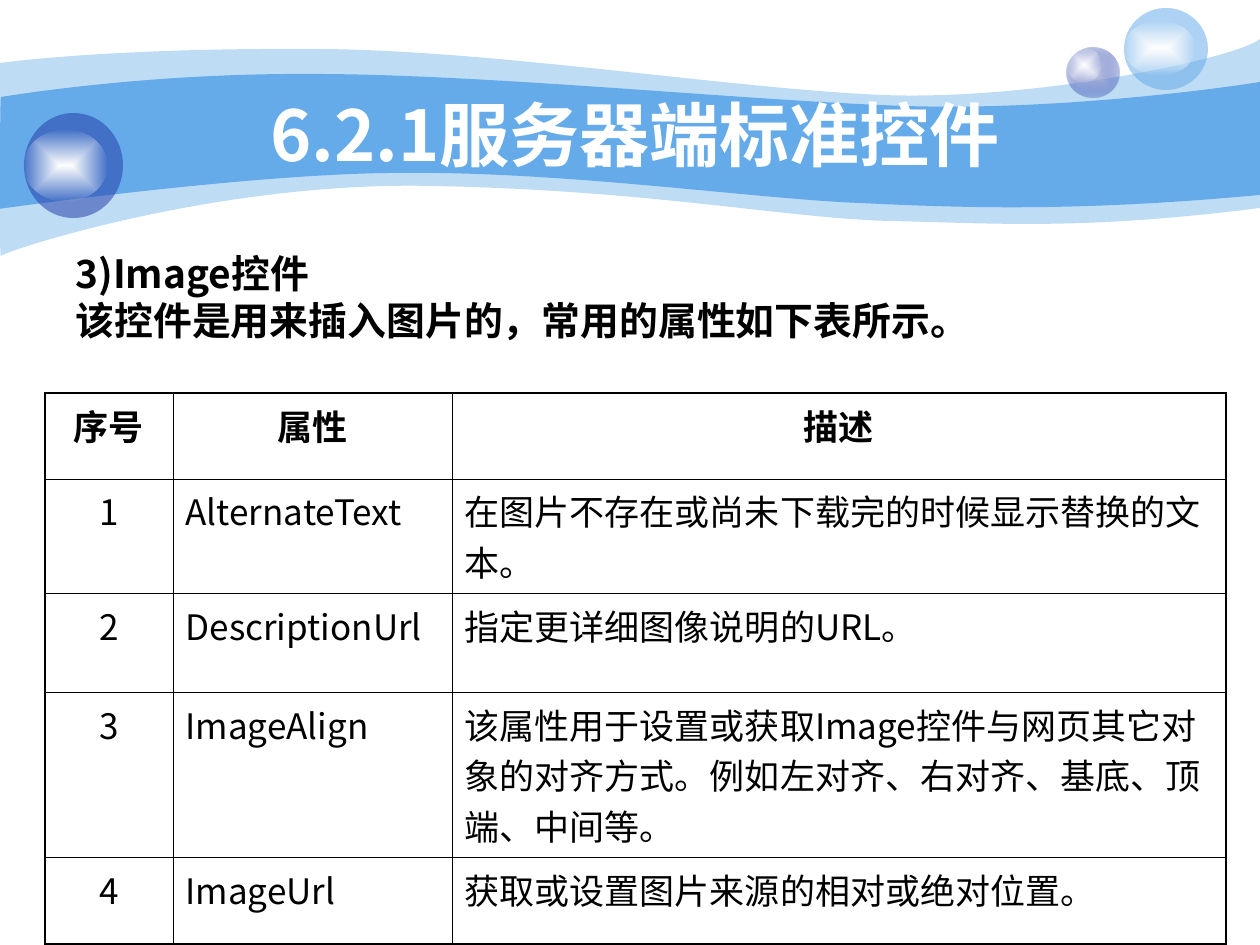
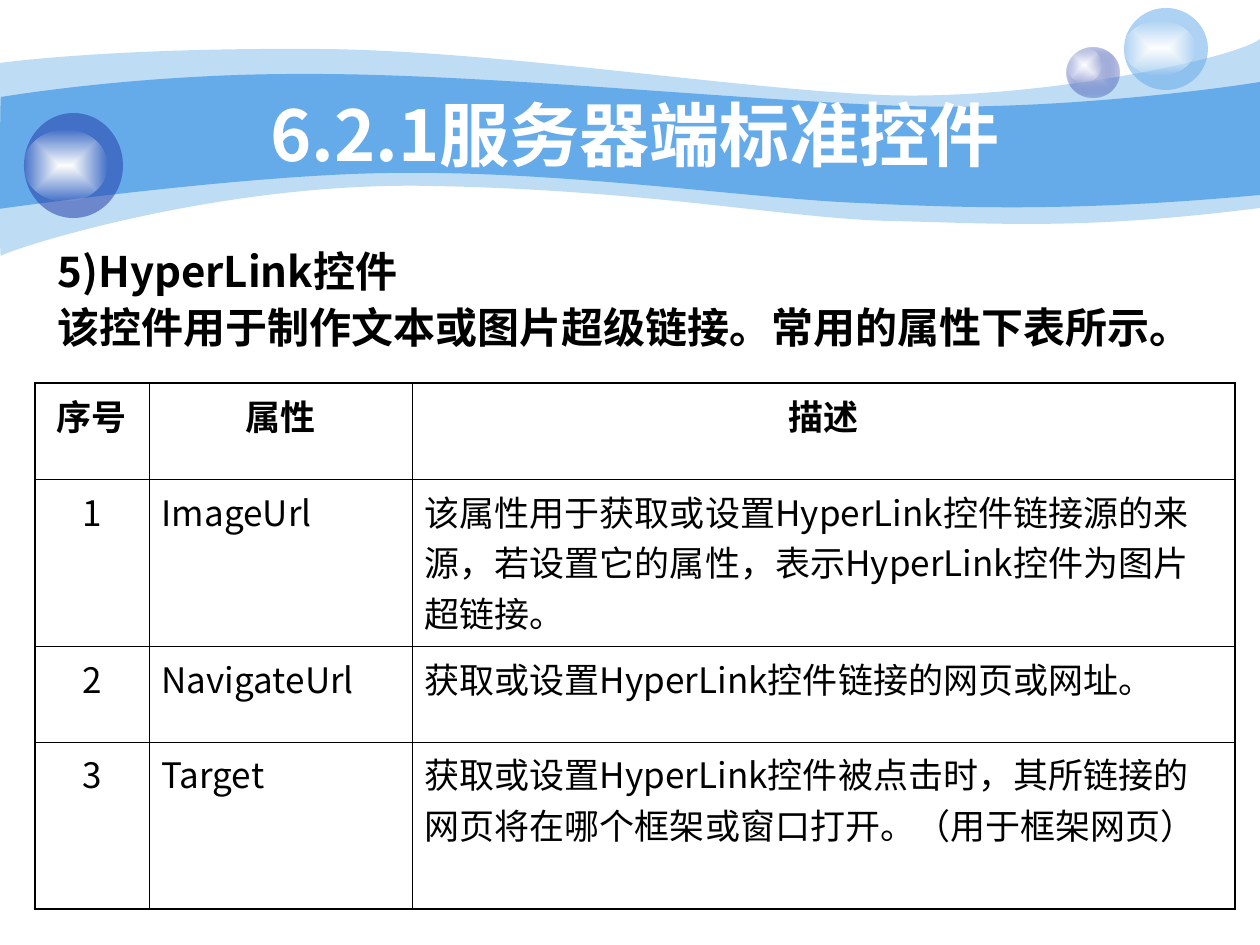
from lxml.etree import SubElement as sub
from pptx import Presentation
from pptx.dml.color import RGBColor as RGB
from pptx.enum.shapes import MSO_SHAPE as SHAPE
from pptx.enum.text import MSO_ANCHOR as ANCHOR, MSO_AUTO_SIZE as FIT, PP_ALIGN as ALIGN
from pptx.oxml.ns import qn
from pptx.util import Pt

PX = 914400 / 126
FONT = "Noto Sans CJK SC"
BLACK = RGB(0, 0, 0)
WHITE = RGB(255, 255, 255)
PEARL = RGB(0xFE, 0xFE, 0xFE)
SKY = RGB(0x65, 0xAA, 0xE9)
NAVY = RGB(0x23, 0x3D, 0xA9)
LILAC = RGB(0xC6, 0xCC, 0xE8)
THIN, THICK = 0.45, 1.08

TITLE = "6.2.1服务器端标准控件"
HEAD = ("序号", "属性", "描述")

# Each wave is a start point, then line ends (x, y) and cubic curves (two handles and an end).
PALE_WAVE = [
    (0, 63),
    (30, 59, 135, 48, 311, 49), (486, 49, 725, 88, 881, 95), (1033, 101, 1235, 59, 1260, 39),
    (1260, 208),
    (1079, 231, 992, 223, 888, 221), (784, 218, 649, 190, 432, 186),
    (217, 181, 5, 251, 1, 256), (-1, 262, 0, 95, 0, 63),
]
BLUE_WAVE = [
    (1, 97),
    (3, 97, 139, 73, 312, 74), (486, 74, 750, 101, 905, 106), (1060, 111, 1230, 87, 1260, 82),
    (1260, 195),
    (1075, 212, 964, 208, 859, 203), (755, 199, 563, 171, 399, 173),
    (256, 173, -3, 209, -1, 209), (0, 209, 0, 97, 1, 97),
]

IMAGE_ROWS = [
    ("AlternateText", "在图片不存在或尚未下载完的时候显示替换的文本。"),
    ("DescriptionUrl", "指定更详细图像说明的URL。"),
    ("ImageAlign", "该属性用于设置或获取Image控件与网页其它对象的对齐方式。"
                   "例如左对齐、右对齐、基底、顶端、中间等。"),
    ("ImageUrl", "获取或设置图片来源的相对或绝对位置。"),
]
LINK_ROWS = [
    ("ImageUrl", "该属性用于获取或设置HyperLink控件链接源的来源，"
                 "若设置它的属性，表示HyperLink控件为图片超链接。"),
    ("NavigateUrl", "获取或设置HyperLink控件链接的网页或网址。"),
    ("Target", "获取或设置HyperLink控件被点击时，"
               "其所链接的网页将在哪个框架或窗口打开。（用于框架网页）"),
]


def emu(*lengths):
    return [round(n * PX) for n in lengths]


def place(shape, box):
    shape.left, shape.top, shape.width, shape.height = emu(*box)


def style(para, size, color=BLACK, bold=False):
    font = para.font
    font.name, font.size, font.bold = FONT, Pt(size), bold
    font.color.rgb = color
    props = para._p.pPr.find(qn("a:defRPr"))
    sub(props, qn("a:ea"), typeface=FONT)


def fade(node, alpha):
    """Make the last colour under node show at alpha percent."""
    color = list(node.iter(qn("a:srgbClr")))[-1]
    sub(color, qn("a:alpha"), val=str(alpha * 1000))


def paint(shape, color, alpha=100):
    shape.shadow.inherit = False
    shape.line.fill.background()
    shape.fill.solid()
    shape.fill.fore_color.rgb = color
    if alpha < 100:
        fade(shape.element.spPr, alpha)


def glow(shape, core, rim, alpha):
    """Fill from the core colour in the centre to a see-through rim."""
    shape.shadow.inherit = False
    shape.line.fill.background()
    shape.fill.gradient()
    for spot, (stop, color) in enumerate(zip(shape.fill.gradient_stops, (core, rim))):
        stop.color.rgb = color
        stop.position = spot
    grad = shape.element.spPr.find(qn("a:gradFill"))
    fade(grad, alpha)
    grad.remove(grad.find(qn("a:lin")))
    route = sub(grad, qn("a:path"), path="rect")
    sub(route, qn("a:fillToRect"), l="50000", t="50000", r="50000", b="50000")


def add_wave(slide, wave, alpha=100):
    """Lay out all points as lines, then join each three of a curve into one cubic."""
    start, *parts = wave
    dots = [emu(*part[i:i + 2]) for part in parts for i in range(0, len(part), 2)]
    pen = slide.shapes.build_freeform(*emu(*start))
    pen.add_line_segments(dots)
    shape = pen.convert_to_shape()
    lines = iter(list(shape.element.iter(qn("a:lnTo"))))
    for part in parts:
        line = next(lines)
        if len(part) == 6:
            line.tag = qn("a:cubicBezTo")
            for extra in (next(lines), next(lines)):
                line.append(extra[0])
                extra.getparent().remove(extra)
    paint(shape, SKY, alpha)
    return shape


def add_ball(slide, ball, shine, fill):
    """A round ball with a white shine on it."""
    group = slide.shapes.add_group_shape()
    disc, spot = [group.shapes.add_shape(SHAPE.OVAL, *emu(*box)) for box in (ball, shine)]
    fill(disc)
    glow(spot, WHITE, PEARL, 0)
    return group


def add_backdrop(slide):
    """Draw the waves and balls, then move them to the back of the layout."""
    parts = [
        add_wave(slide, PALE_WAVE, 41),
        add_wave(slide, BLUE_WAVE),
        add_ball(slide, (1067, 48, 53, 50), (1067, 48, 35, 34),
                 lambda disc: glow(disc, LILAC, NAVY, 31)),
        add_ball(slide, (1124, 8, 84, 82), (1124, 21, 71, 54),
                 lambda disc: paint(disc, SKY, 53)),
        add_ball(slide, (24, 113, 99, 105), (24, 130, 83, 71),
                 lambda disc: paint(disc, NAVY, 53)),
    ]
    tree = slide.slide_layout.shapes.element
    for i, part in enumerate(parts):
        tree.insert(2 + i, part.element)


def set_title(slide):
    title = slide.shapes.title
    place(title, (126, 95, 1018, 78))
    frame = title.text_frame
    frame.text = TITLE
    frame.auto_size = FIT.NONE
    frame.vertical_anchor = ANCHOR.MIDDLE
    para = frame.paragraphs[0]
    para.alignment = ALIGN.CENTER
    style(para, 40, WHITE, True)


def set_body(slide, box, lines, size, pitch):
    body = slide.placeholders[1]
    place(body, box)
    frame = body.text_frame
    frame.text = "\n".join(lines)
    frame.auto_size = FIT.NONE
    indent = round(48 * PX)
    for i, para in enumerate(frame.paragraphs):
        props = para._p.get_or_add_pPr()
        props.set("marL", str(indent))
        props.set("indent", str(-indent))
        sub(props, qn("a:buNone"))
        para.line_spacing = pitch
        para.space_before = Pt(6 if i else 0)
        style(para, size, bold=True)


def set_edges(cell, widths):
    """Draw the cell's borders; widths are left, right, top, bottom in points."""
    props = cell._tc.get_or_add_tcPr()
    for i, (side, width) in enumerate(zip("LRTB", widths)):
        line = props.makeelement(qn(f"a:ln{side}"), {"w": str(Pt(width))})
        fill = sub(line, qn("a:solidFill"))
        sub(fill, qn("a:srgbClr"), val=str(BLACK))
        props.insert(i, line)


def add_grid(slide, spot, cols, rows, items):
    """A numbered table of properties under a bold heading row."""
    data = [HEAD] + [(str(n), *item) for n, item in enumerate(items, 1)]
    box = emu(*spot, sum(cols), sum(rows))
    table = slide.shapes.add_table(len(rows), len(cols), *box).table
    table.horz_banding = False
    for col, width in zip(table.columns, emu(*cols)):
        col.width = width
    for row, height in zip(table.rows, emu(*rows)):
        row.height = height
    for r, texts in enumerate(data):
        for c, text in enumerate(texts):
            cell = table.cell(r, c)
            cell.text = text
            cell.fill.background()
            para = cell.text_frame.paragraphs[0]
            para.alignment = ALIGN.CENTER if r == 0 or c == 0 else ALIGN.LEFT
            style(para, 20, bold=r == 0)
            outer = (c == 0, c == len(cols) - 1, r == 0, r == len(rows) - 1)
            set_edges(cell, [THICK if edge else THIN for edge in outer])


def add_page(deck):
    slide = deck.slides.add_slide(deck.slide_layouts[1])
    set_title(slide)
    return slide


def main():
    deck = Presentation()
    deck.slide_width, deck.slide_height = emu(1260, 945)

    image = add_page(deck)
    add_backdrop(image)
    set_body(image, (63, 252, 1133, 102),
             ["3)Image控件", "该控件是用来插入图片的，常用的属性如下表所示。"], 22.2, 0.8)
    add_grid(image, (45, 393), (128, 279, 774), (86, 97, 99, 151, 87), IMAGE_ROWS)

    link = add_page(deck)
    set_body(link, (45, 245, 1215, 118),
             ["5)HyperLink控件", "该控件用于制作文本或图片超级链接。常用的属性下表所示。"], 24, 0.9)
    add_grid(link, (35, 383), (114, 263, 823), (96, 167, 96, 167), LINK_ROWS)

    deck.save("out.pptx")


if __name__ == "__main__":
    main()
